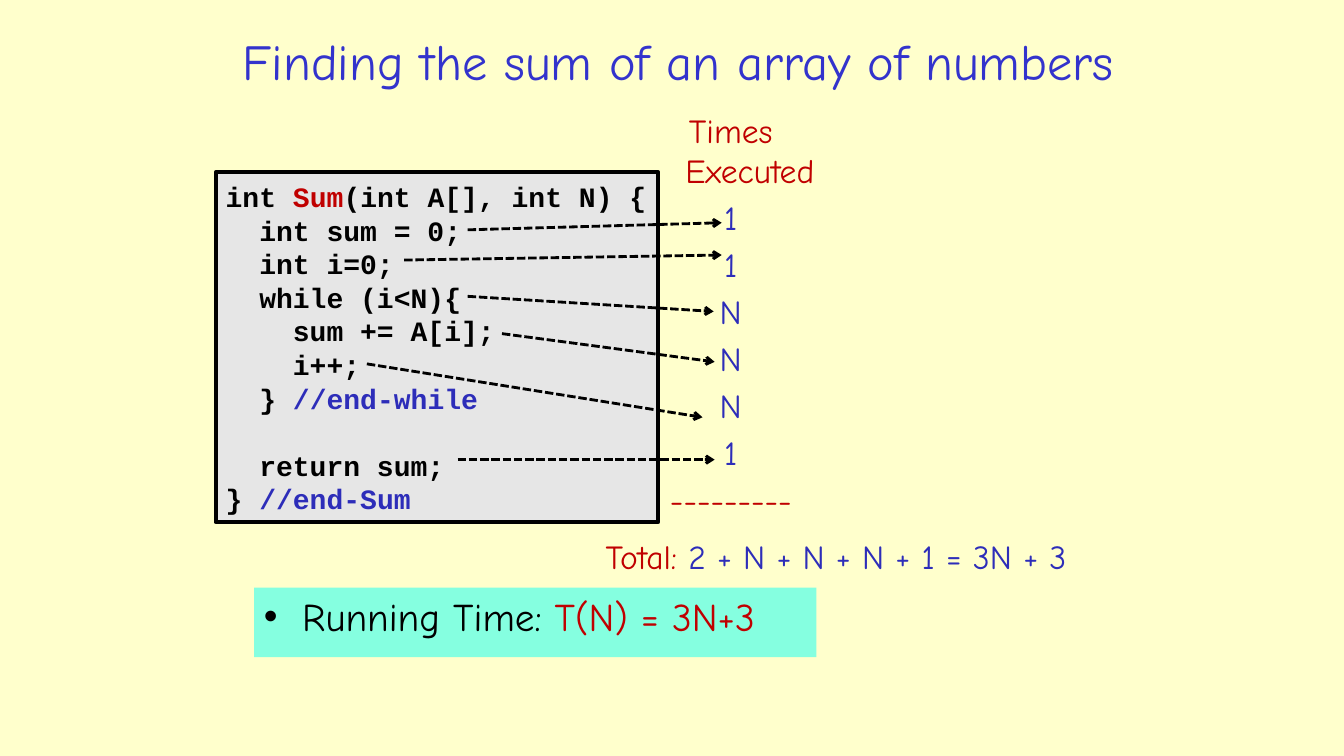
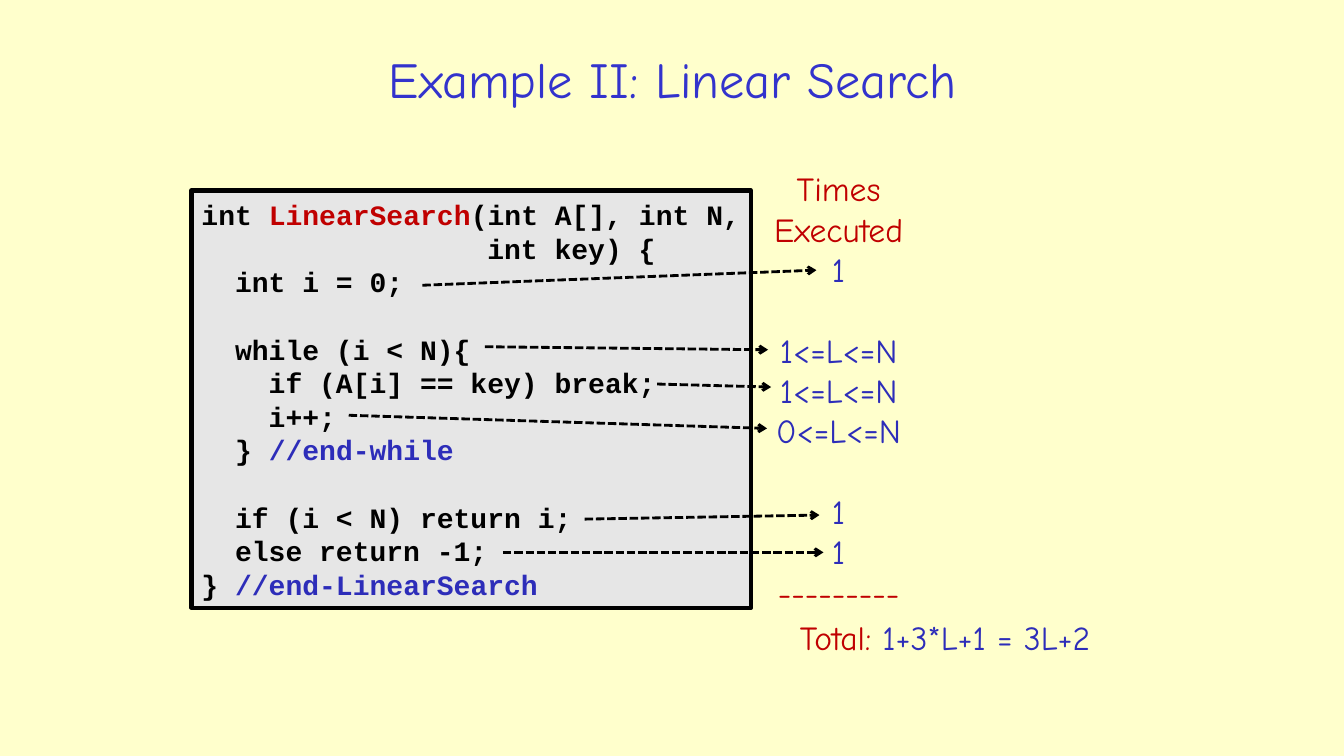
from lxml import etree
from pptx import Presentation
from pptx.dml.color import RGBColor
from pptx.enum import dml, shapes, text
from pptx.oxml import ns
from pptx.util import Emu, Pt

PX = 9144  # 100 px to the inch

CREAM = RGBColor(0xFF, 0xFF, 0xCC)
TITLE_BLUE = RGBColor(0x33, 0x33, 0xCC)
BLUE = RGBColor(0x2D, 0x2D, 0xB9)
RED = RGBColor(0xC0, 0x00, 0x00)
BLACK = RGBColor(0, 0, 0)
GREY = RGBColor(0xE6, 0xE6, 0xE6)
AQUA = RGBColor(0x85, 0xFF, 0xE0)

HAND, MONO = "Comic Neue", "Courier New"
LINE_HEIGHT = 1.2
HANGING = 38
LEFT, CENTER = text.PP_ALIGN.LEFT, text.PP_ALIGN.CENTER


def px(value):
    return Emu(value * PX)


def write_lines(frame, lines, size, font=HAND, bold=False, align=CENTER,
                spacing=0, hanging=0):
    """Write lines of (text, colour) runs; an empty line becomes space before."""
    pitch = size * LINE_HEIGHT
    frame.word_wrap = True
    gap = 0
    paragraph = None
    for runs in lines:
        if not runs:
            gap += pitch
            continue
        if paragraph is None:
            paragraph = frame.paragraphs[0]
        else:
            paragraph = frame.add_paragraph()
            paragraph.space_before = Pt(round(spacing + gap, 1))
        gap = 0
        paragraph.alignment = align
        paragraph.line_spacing = Pt(round(pitch, 1))
        if hanging:
            properties = paragraph._p.get_or_add_pPr()
            properties.set("marL", str(px(hanging)))
            properties.set("indent", str(-px(hanging)))
        for words, colour in runs:
            run = paragraph.add_run()
            run.text = words
            run.font.name, run.font.size, run.font.bold = font, Pt(size), bold
            run.font.color.rgb = colour


def add_text(slide, box, lines, size, **style):
    frame = slide.shapes.add_textbox(*map(px, box)).text_frame
    write_lines(frame, lines, size, **style)
    return frame


def add_panel(slide, box, fill):
    panel = slide.shapes.add_shape(shapes.MSO_SHAPE.RECTANGLE, *map(px, box))
    panel.shadow.inherit = False
    panel.fill.solid()
    panel.fill.fore_color.rgb = fill
    panel.line.fill.background()
    panel.text_frame.vertical_anchor = text.MSO_ANCHOR.TOP
    return panel


def add_title(slide, box, title):
    frame = add_text(slide, box, [[(title, TITLE_BLUE)]], 36)
    frame.vertical_anchor = text.MSO_ANCHOR.MIDDLE


def code_runs(line, function):
    """Colour the function name red and the comment blue."""
    code, slashes, comment = line.partition("//")
    before, name, after = code.partition(function)
    runs = [(before, BLACK), (name, RED), (after, BLACK),
            (slashes + comment, BLUE)]
    return [run for run in runs if run[0]]


def add_arrow(slide, left, top, ends):
    x1, y1, x2, y2 = ends
    arrow = slide.shapes.add_connector(
        shapes.MSO_CONNECTOR.STRAIGHT,
        px(left + x1), px(top + y1), px(left + x2), px(top + y2))
    arrow.line.color.rgb = BLACK
    arrow.line.width = Pt(2)
    arrow.line.dash_style = dml.MSO_LINE.SQUARE_DOT
    outline = arrow.line._get_or_add_ln()
    etree.SubElement(outline, ns.qn("a:tailEnd"), type="arrow")
    etree.SubElement(arrow._element.spPr, ns.qn("a:effectLst"))


def add_code(slide, box, function, code, arrows):
    """Code panel, with arrows measured from its top left corner."""
    panel = add_panel(slide, box, GREY)
    panel.line.color.rgb = BLACK
    panel.line.width = Pt(3)
    panel.text_frame.margin_top = px(7)
    lines = [code_runs(line, function) for line in code.splitlines()]
    write_lines(panel.text_frame, lines, 20, font=MONO, bold=True, align=LEFT)
    for ends in arrows:
        add_arrow(slide, box[0], box[1], ends)


def add_counts(slide, box, counts, **style):
    lines = [[("Times Executed", RED)]]
    lines += [[(count, BLUE)] if count else [] for count in counts]
    lines.append([("---------", RED)])
    add_text(slide, box, lines, 24, **style)


def add_total(slide, box, total):
    add_text(slide, box, [[("Total: ", RED), (total, BLUE)]], 24,
             hanging=HANGING)


def add_running_time(slide, box, formula):
    panel = add_panel(slide, box, AQUA)
    write_lines(panel.text_frame,
                [[("Running Time: ", BLACK), (formula, RED)]], 28,
                align=LEFT, hanging=HANGING)
    properties = panel.text_frame.paragraphs[0]._p.get_or_add_pPr()
    etree.SubElement(properties, ns.qn("a:buFont"), typeface="Arial")
    etree.SubElement(properties, ns.qn("a:buChar"), char="•")


def new_slide(presentation):
    slide = presentation.slides.add_slide(presentation.slide_layouts[6])
    slide.background.fill.solid()
    slide.background.fill.fore_color.rgb = CREAM
    return slide


SUM_CODE = """int Sum(int A[], int N) {
  int sum = 0;
  int i=0;
  while (i<N){
    sum += A[i];
    i++;
  } //end-while

  return sum;
} //end-Sum"""

SEARCH_CODE = """int LinearSearch(int A[], int N,
                 int key) {
  int i = 0;

  while (i < N){
    if (A[i] == key) break;
    i++;
  } //end-while

  if (i < N) return i;
  else return -1;
} //end-LinearSearch"""


def build_sum_slide(presentation):
    slide = new_slide(presentation)
    add_title(slide, (196, 15, 954, 89),
              "Finding the sum of an array of numbers")
    add_counts(slide, (620, 104, 210, 425), ["1", "1", "N", "N", "N", "1"],
               spacing=4.8, hanging=HANGING)
    add_total(slide, (548, 527, 563, 58), "2 + N + N + N + 1 = 3N + 3")
    add_running_time(slide, (252, 583, 558, 69), "T(N) = 3N+3")
    add_code(slide, (214, 171, 439, 347), "Sum", SUM_CODE, [
        (250, 57, 502, 50),
        (187, 87, 502, 82),
        (250, 123, 494, 138),
        (284, 160, 495, 188),
        (150, 190, 483, 243),
        (240, 285, 495, 285),
    ])


def build_search_slide(presentation):
    slide = new_slide(presentation)
    add_title(slide, (26, 15, 1283, 125), "Example II: Linear Search")
    add_code(slide, (190, 189, 555, 414), "LinearSearch", SEARCH_CODE, [
        (229, 94, 620, 79),
        (291, 155, 572, 158),
        (462, 192, 575, 195),
        (156, 223, 571, 236),
        (390, 326, 623, 322),
        (309, 359, 627, 359),
    ])
    add_counts(slide, (722, 162, 220, 454),
               ["1", "", "1<=L<=N", "1<=L<=N", "0<=L<=N", "", "1", "1"])
    add_total(slide, (760, 607, 355, 59), "1+3*L+1 = 3L+2")


def main():
    presentation = Presentation()
    presentation.slide_width = Emu(12192000)
    presentation.slide_height = px(750)
    build_sum_slide(presentation)
    build_search_slide(presentation)
    presentation.save("out.pptx")


if __name__ == "__main__":
    main()
